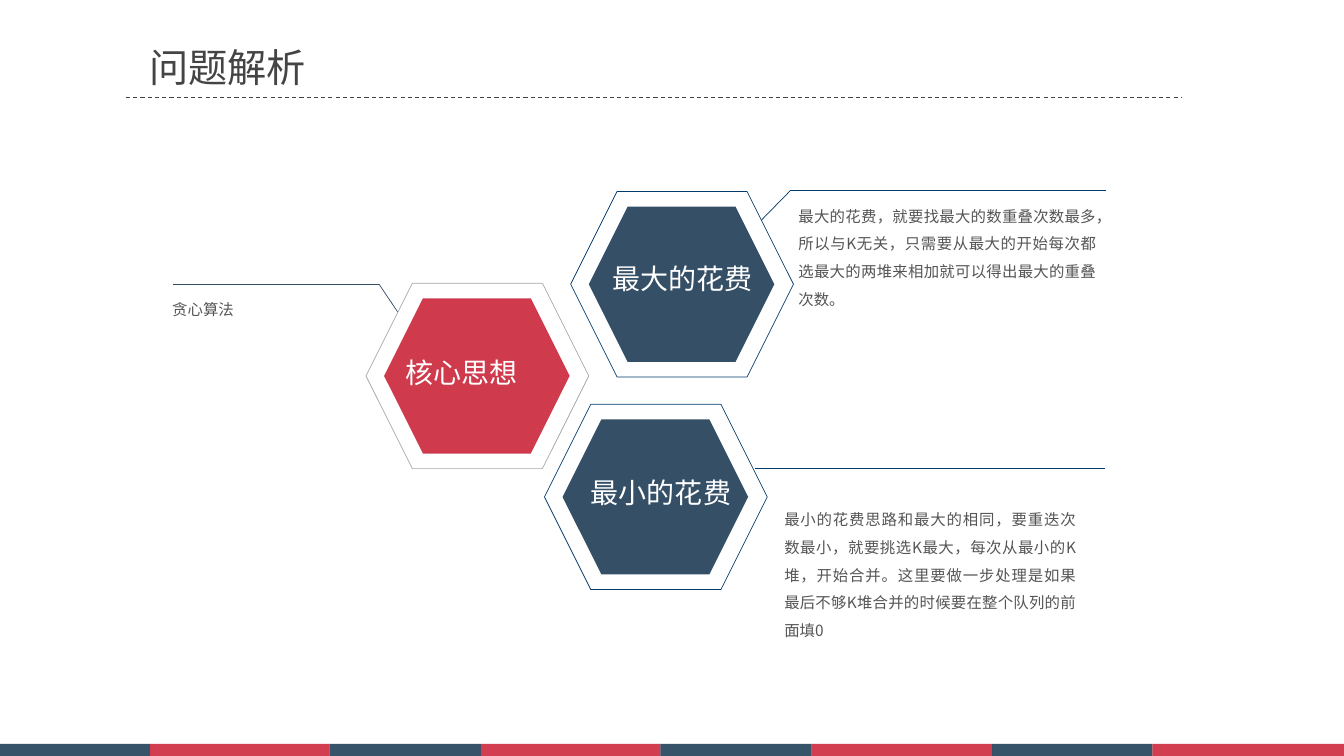
from itertools import pairwise

from lxml.etree import SubElement
from pptx import Presentation
from pptx.dml.color import RGBColor
from pptx.enum.dml import MSO_LINE_DASH_STYLE as DASH
from pptx.enum.shapes import MSO_CONNECTOR, MSO_SHAPE
from pptx.enum.text import MSO_AUTO_SIZE as AUTO, PP_ALIGN as ALIGN
from pptx.oxml.ns import qn
from pptx.util import Pt

PX = 9144  # EMU per px, 100 px to the inch
FONT = "Noto Sans CJK SC"

WHITE = RGBColor(0xFF, 0xFF, 0xFF)
NAVY = RGBColor(0x06, 0x28, 0x45)
CRIMSON = RGBColor(0xC7, 0x0E, 0x23)
BLUE = RGBColor(0x01, 0x3B, 0x6D)
SLATE = RGBColor(0x34, 0x4F, 0x66)
RED = RGBColor(0xCF, 0x3B, 0x4C)
GRAY = RGBColor(0xA6, 0xA6, 0xA6)
TITLE_GRAY = RGBColor(0x44, 0x44, 0x44)
BODY_GRAY = RGBColor(0x55, 0x55, 0x55)

BAR_EDGES = [0, 149, 327, 477, 655, 805, 984, 1143, 1333]

LEADERS = [
    (BLUE, [(1097, 189), (784, 189), (735, 239)]),
    (BLUE, [(749, 465), (1096, 465)]),
    (SLATE, [(172, 282), (376, 282), (439, 376)]),
]

# left, top, outline, fill, label, label left, label top, label width
HEXAGONS = [
    (566, 190, BLUE, SLATE, "最大的花费", 597, 253, 159),
    (363, 281, GRAY, RED, "核心思想", 392, 346, 131),
    (540, 401, BLUE, SLATE, "最小的花费", 576, 465, 159),
]

NOTES = [
    (161, 284, 163, 38, "贪心算法"),
    (782, 191, 315, 121,
     "最大的花费，就要找最大的数重叠次数最多，所以与K无关，只需要从最大的开始"
     "每次都选最大的两堆来相加就可以得出最大的重叠次数。"),
    (768, 492, 309, 149,
     "最小的花费思路和最大的相同，要重迭次数最小，就要挑选K最大，每次从最小的"
     "K堆，开始合并。这里要做一步处理是如果最后不够K堆合并的时候要在整个队列的前面填0"),
]


def emu(*lengths):
    return [n * PX for n in lengths]


def add_block(s, kind, x, y, w, h, fill, line=None, alpha=None):
    """Add a filled preset shape; alpha is its opacity in percent."""
    sp = s.shapes.add_shape(kind, *emu(x, y, w, h))
    sp.shadow.inherit = False
    sp.fill.solid()
    sp.fill.fore_color.rgb = fill
    if alpha:
        color = sp.fill._xPr.find(qn("a:solidFill"))[0]
        SubElement(color, qn("a:alpha"), val=str(alpha * 1000))
    if line is None:
        sp.line.fill.background()
    else:
        sp.line.color.rgb = line
        sp.line.width = Pt(0.5)


def add_line(s, start, end, color, width=0.5, dash=None):
    cx = s.shapes.add_connector(MSO_CONNECTOR.STRAIGHT, *emu(*start, *end))
    cx.line.color.rgb = color
    cx.line.width = Pt(width)
    if dash:
        cx.line.dash_style = dash
    SubElement(cx._element.spPr, qn("a:effectLst"))


def add_text(s, x, y, w, h, text, *, size, color, spacing,
             align=ALIGN.LEFT, wrap=True, inset=True):
    """Add a one-paragraph text box with line spacing in points."""
    tf = s.shapes.add_textbox(*emu(x, y, w, h)).text_frame
    tf.word_wrap = wrap
    tf.auto_size = AUTO.SHAPE_TO_FIT_TEXT
    if not inset:
        tf.margin_left = tf.margin_top = tf.margin_right = tf.margin_bottom = 0
    p = tf.paragraphs[0]
    p.alignment = align
    p.line_spacing = Pt(spacing)
    r = p.add_run()
    r.text = text
    r.font.size = Pt(size)
    r.font.color.rgb = color
    r.font.name = FONT
    SubElement(r.font._element, qn("a:ea"), typeface=FONT)


def add_hexagon(s, x, y, outline, fill, label, label_x, label_y, label_w):
    """Add a filled hexagon inside an outlined one, with its label."""
    add_block(s, MSO_SHAPE.HEXAGON, x, y, 221, 184, WHITE, outline)
    add_block(s, MSO_SHAPE.HEXAGON, x + 18, y + 15, 184, 154, fill)
    add_text(s, label_x, label_y, label_w, 44, label, size=20, color=WHITE,
             spacing=25, align=ALIGN.RIGHT, wrap=False)


def main():
    prs = Presentation()
    prs.slide_width, prs.slide_height = emu(1333, 750)
    s = prs.slides.add_slide(prs.slide_layouts[6])

    for i, (left, right) in enumerate(pairwise(BAR_EDGES)):
        add_block(s, MSO_SHAPE.RECTANGLE, left, 738, right - left, 12,
                  CRIMSON if i % 2 else NAVY, alpha=80)

    add_line(s, (125, 97), (1172, 97), TITLE_GRAY, 0.75, DASH.DASH)
    for color, points in LEADERS:
        for start, end in pairwise(points):
            add_line(s, start, end, color)

    for hexagon in HEXAGONS:
        add_hexagon(s, *hexagon)
    for note in NOTES:
        add_text(s, *note, size=11, color=BODY_GRAY, spacing=19.8,
                 align=ALIGN.JUSTIFY)
    add_text(s, 148, 40, 399, 47, "问题解析", size=28, color=TITLE_GRAY,
             spacing=36, inset=False)

    prs.save("out.pptx")


if __name__ == "__main__":
    main()
